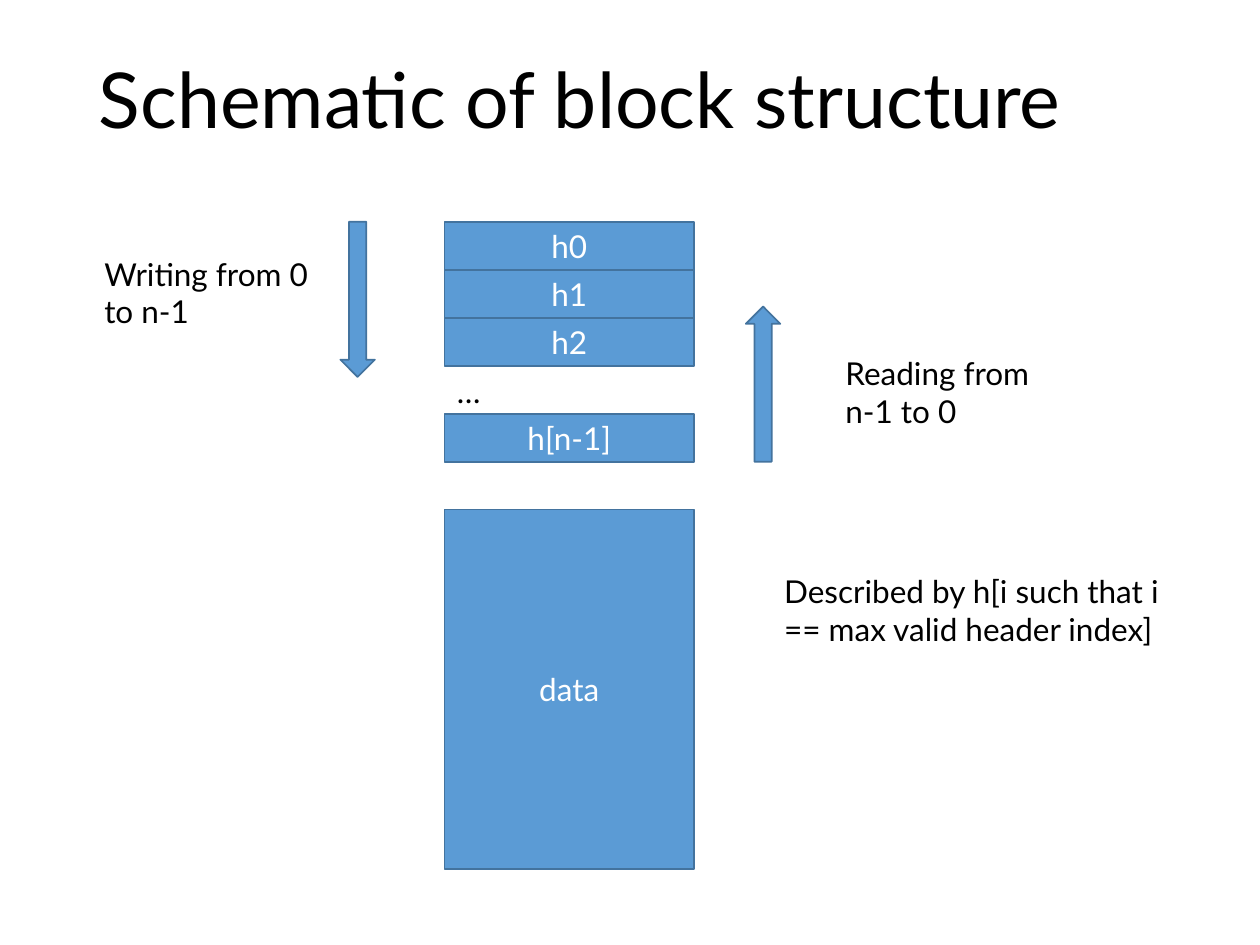
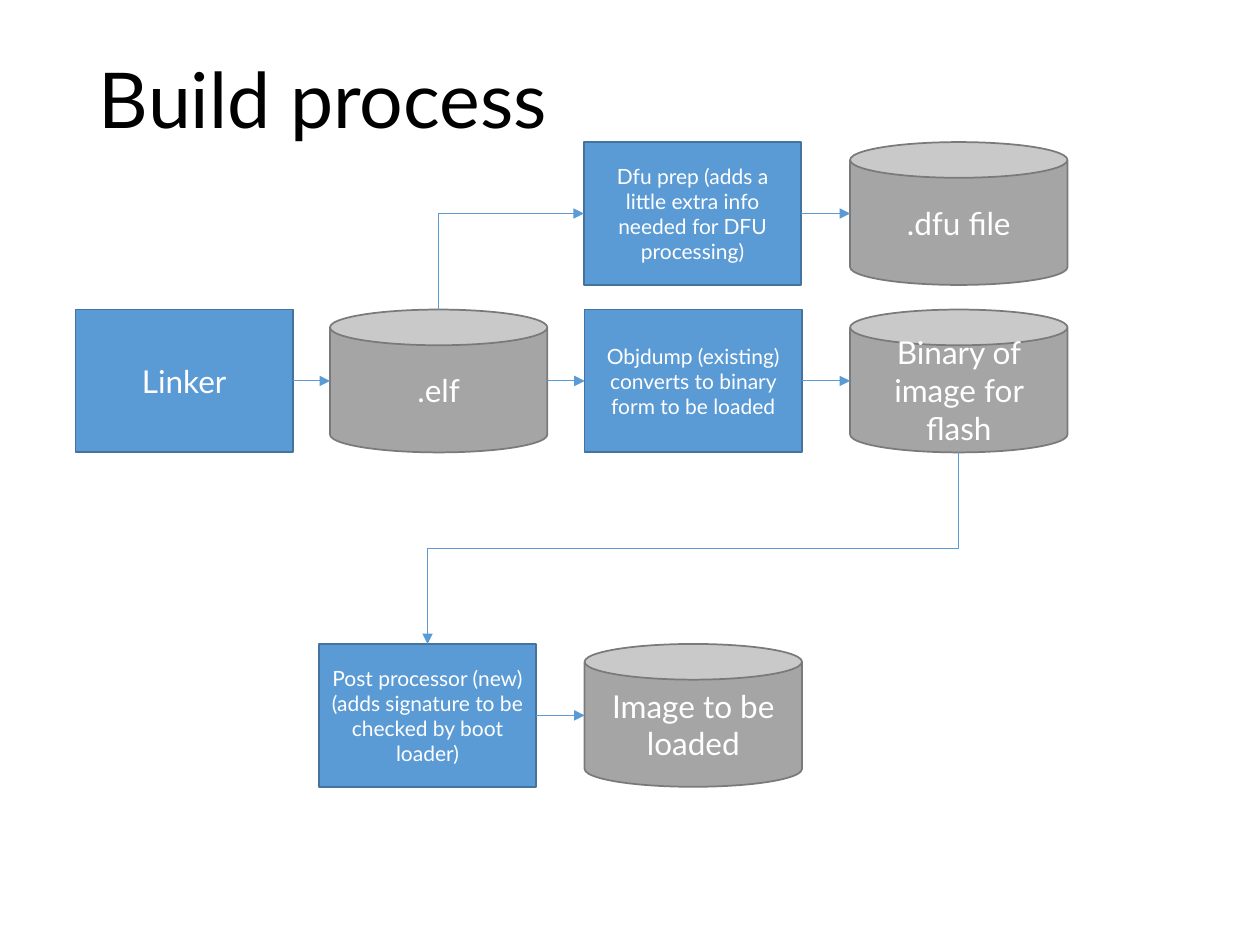
import pptx
import pptx.util
import pptx.dml.color
import pptx.enum.shapes
import pptx.enum.text
import pptx.oxml.ns
import lxml.etree

Pt = pptx.util.Pt
color = pptx.dml.color.RGBColor.from_string
qn = pptx.oxml.ns.qn
SHAPE = pptx.enum.shapes.MSO_SHAPE
CONNECTOR = pptx.enum.shapes.MSO_CONNECTOR
ANCHOR = pptx.enum.text.MSO_ANCHOR
ALIGN = pptx.enum.text.PP_ALIGN

FONT = "Lato"
BLUE, BLUE_EDGE = "5B9BD5", "43739E"
GRAY, GRAY_EDGE = "A5A5A5", "7A7A7A"
WHITE, BLACK = "FFFFFF", "000000"


def write(box, text, size, ink, align, anchor):
    frame = box.text_frame
    frame.word_wrap = True
    frame.vertical_anchor = anchor
    para = frame.paragraphs[0]
    para.text = text
    para.alignment = align
    para.font.name = FONT
    para.font.size = Pt(size)
    para.font.color.rgb = color(ink)
    return para


def add_block(page, kind, left, top, width, height, text="", size=18):
    block = page.shapes.add_shape(kind, Pt(left), Pt(top), Pt(width), Pt(height))
    fill, edge = (GRAY, GRAY_EDGE) if kind == SHAPE.CAN else (BLUE, BLUE_EDGE)
    block.shadow.inherit = False
    block.fill.solid()
    block.fill.fore_color.rgb = color(fill)
    block.line.color.rgb = color(edge)
    block.line.width = Pt(1)
    if text:
        write(block, text, size, WHITE, ALIGN.CENTER, ANCHOR.MIDDLE)
    return block


deck = pptx.Presentation()
deck.slide_width, deck.slide_height = Pt(720), Pt(540)

pages = []
for title in ("Schematic of block structure", "Build process"):
    page = deck.slides.add_slide(deck.slide_layouts[6])
    box = page.shapes.add_textbox(Pt(49.5), Pt(28.75), Pt(621), Pt(60.5))
    write(box, title, 44, BLACK, ALIGN.LEFT, ANCHOR.MIDDLE).line_spacing = 0.9
    pages.append(page)
structure, build = pages

stack_left, stack_top, stack_width, row_height = 254, 126.8, 142.5, 27.4
for row, rows_high, label in (
    (0, 1, "h0"),
    (1, 1, "h1"),
    (2, 1, "h2"),
    (4, 1, "h[n-1]"),
    (6, 7.5, "data"),
):
    add_block(structure, SHAPE.RECTANGLE, stack_left, stack_top + row * row_height,
              stack_width, rows_high * row_height, label)

arrow_width, arrow_height = 19.7, 88.6
add_block(structure, SHAPE.DOWN_ARROW, 194.5, stack_top, arrow_width, arrow_height)
reading_arrow = add_block(structure, SHAPE.DOWN_ARROW, 426.2,
                          stack_top + 5 * row_height - arrow_height, arrow_width, arrow_height)
reading_arrow.rotation = 180

for left, top, width, height, text in (
    (stack_left, stack_top + 3 * row_height, stack_width, 29, "…"),
    (52.5, 142, 142.5, 51, "Writing from 0 to n-1"),
    (476, 198.8, 142.5, 51, "Reading from n-1 to 0"),
    (441, 323.3, 244, 51, "Described by h[i such that i == max valid header index]"),
):
    note = structure.shapes.add_textbox(Pt(left), Pt(top), Pt(width), Pt(height))
    write(note, text, 18, BLACK, ALIGN.LEFT, ANCHOR.TOP)

step_width, step_height = 124.2, 81.6
dfu_row, main_row, post_row = 81.2, 176.9, 368
steps = {}
for name, kind, left, top, text, size in (
    ("linker", SHAPE.RECTANGLE, 43.2, main_row, "Linker", 18),
    ("elf", SHAPE.CAN, 188.6, main_row, ".elf", 18),
    ("objdump", SHAPE.RECTANGLE, 334.1, main_row,
     "Objdump (existing) converts to binary form to be loaded", 12),
    ("binary", SHAPE.CAN, 485.8, main_row, "Binary of image for flash", 18),
    ("prep", SHAPE.RECTANGLE, 333.7, dfu_row,
     "Dfu prep (adds a little extra info needed for DFU processing)", 12),
    ("dfu", SHAPE.CAN, 485.8, dfu_row, ".dfu file", 18),
    ("post", SHAPE.RECTANGLE, 182.2, post_row,
     "Post processor (new) (adds signature to be checked by boot loader)", 12),
    ("image", SHAPE.CAN, 334.1, post_row, "Image to be loaded", 18),
):
    steps[name] = add_block(build, kind, left, top, step_width, step_height, text, size)

links = []
for source, target in (
    ("linker", "elf"),
    ("elf", "objdump"),
    ("objdump", "binary"),
    ("prep", "dfu"),
    ("post", "image"),
):
    first, second = steps[source], steps[target]
    middle = first.top + first.height // 2
    link = build.shapes.add_connector(CONNECTOR.STRAIGHT, first.left + first.width, middle,
                                      second.left, middle)
    if first.auto_shape_type == SHAPE.RECTANGLE:
        link.begin_connect(first, 3)
    if second.auto_shape_type == SHAPE.RECTANGLE:
        link.end_connect(second, 1)
    links.append(link)

elf, prep, binary, post = (steps[name] for name in ("elf", "prep", "binary", "post"))
for preset, start_x, start_y, end_x, end_y in (
    ("bentConnector2", elf.left + elf.width // 2, elf.top,
     prep.left, prep.top + prep.height // 2),
    ("bentConnector3", binary.left + binary.width // 2, binary.top + binary.height,
     post.left + post.width // 2, post.top),
):
    center_x, center_y = (start_x + end_x) // 2, (start_y + end_y) // 2
    half_x, half_y = (start_x - end_x) // 2, (start_y - end_y) // 2
    link = build.shapes.add_connector(CONNECTOR.ELBOW, center_x + half_y, center_y - half_x,
                                      center_x - half_y, center_y + half_x)
    properties = link._element.spPr
    properties.find(qn("a:xfrm")).set("rot", "5400000")
    properties.find(qn("a:prstGeom")).set("prst", preset)
    links.append(link)

for link in links:
    link.line.color.rgb = color(BLUE)
    link.line.width = Pt(0.5)
    properties = link._element.spPr
    lxml.etree.SubElement(properties.find(qn("a:ln")), qn("a:tailEnd"), type="triangle")
    lxml.etree.SubElement(properties, qn("a:effectLst"))

deck.save("out.pptx")
